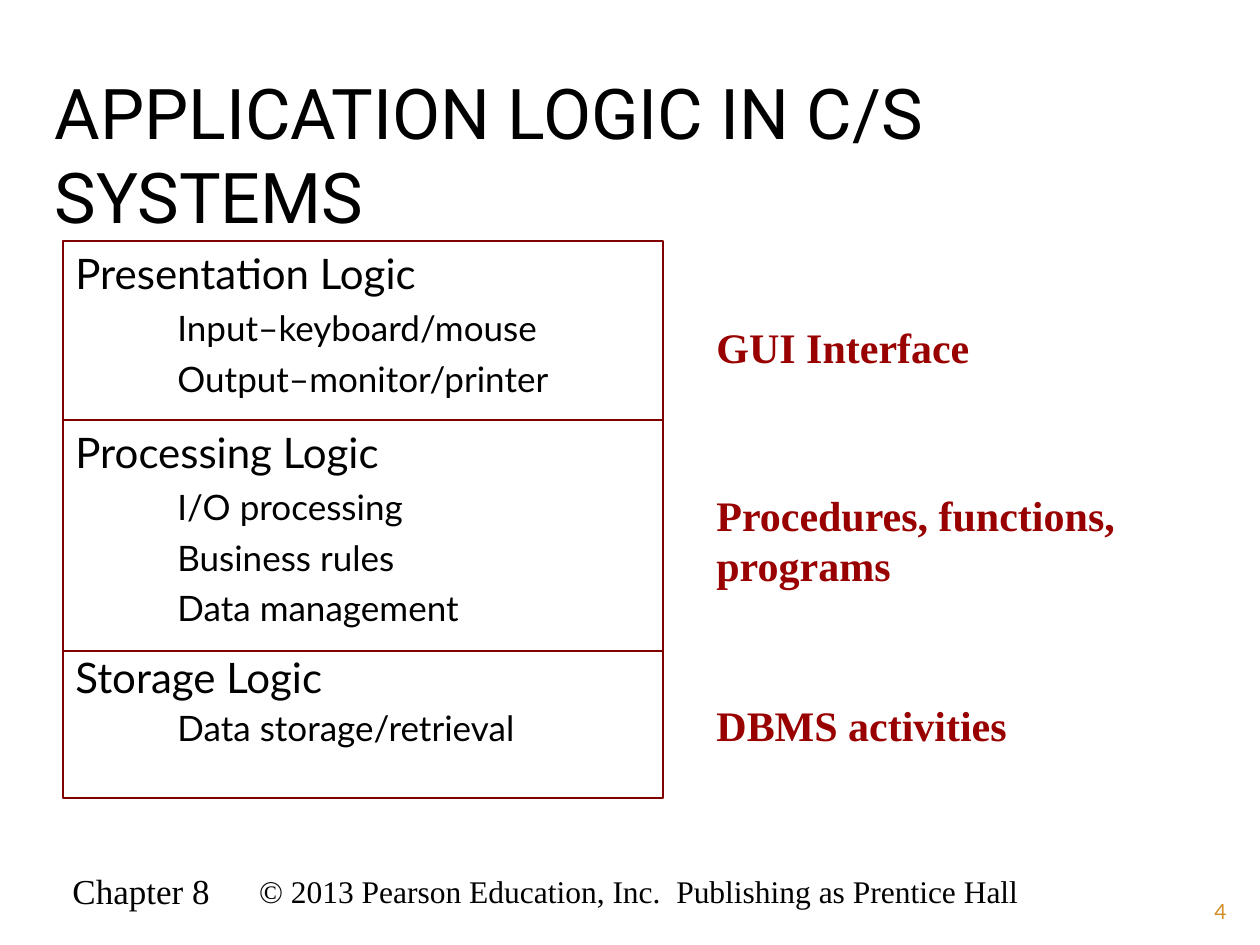
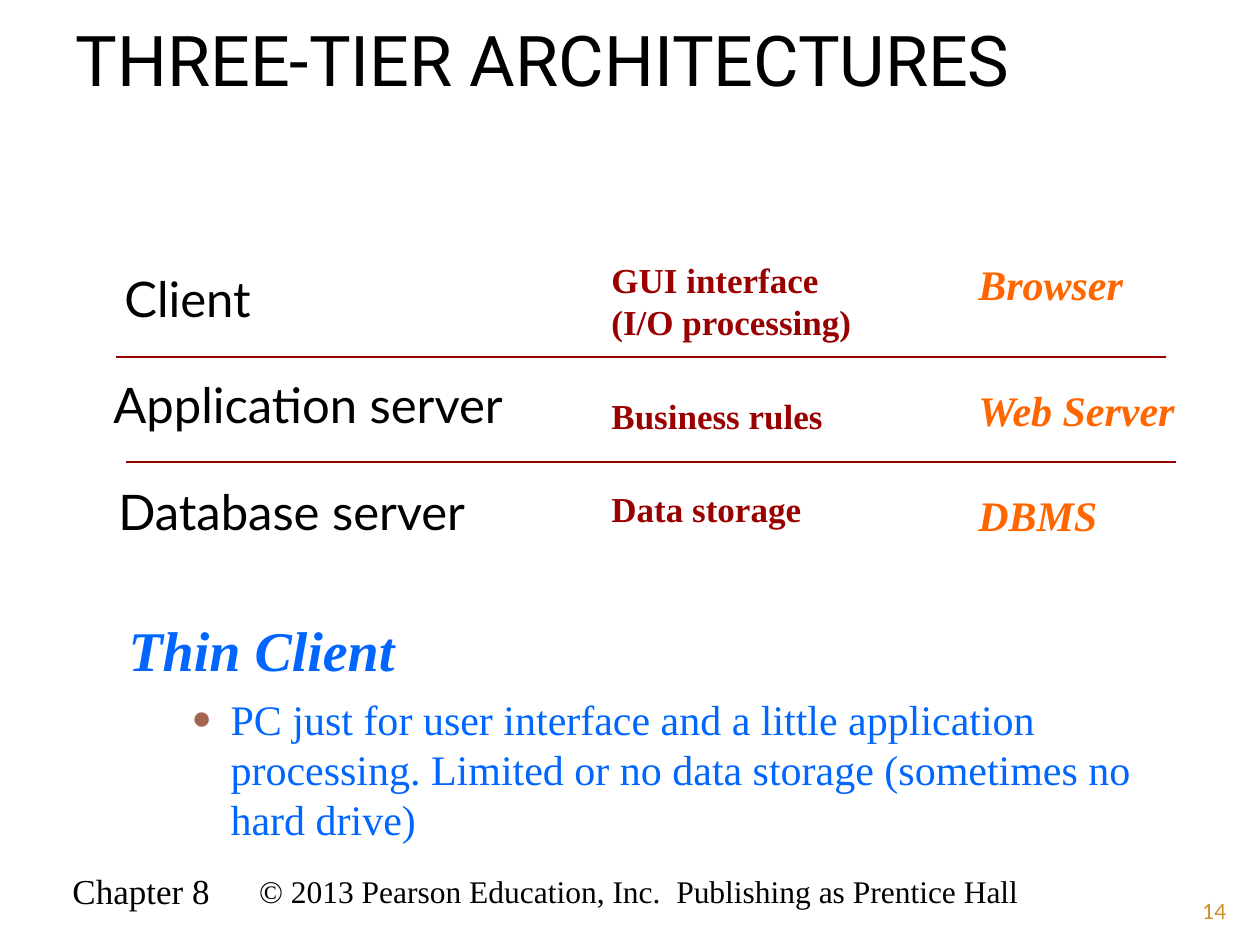
from lxml.etree import SubElement
from pptx import Presentation
from pptx.dml.color import RGBColor
from pptx.enum.shapes import MSO_CONNECTOR, MSO_SHAPE
from pptx.enum.text import MSO_ANCHOR as Anchor, MSO_AUTO_SIZE as AutoSize, PP_ALIGN as Align
from pptx.oxml.ns import qn
from pptx.util import Emu, Inches, Pt

PX_PER_INCH = 126
SLIDE_WIDTH, SLIDE_HEIGHT = 1260, 945
TITLE_ONLY, TITLE_AND_BODY = 5, 1

BLACK = RGBColor(0x00, 0x00, 0x00)
MAROON = RGBColor(0x80, 0x00, 0x00)
RED = RGBColor(0x99, 0x00, 0x00)
ORANGE = RGBColor(0xFF, 0x66, 0x00)
BLUE = RGBColor(0x00, 0x66, 0xFF)
GOLD = RGBColor(0xD3, 0x8E, 0x27)
BROWN = RGBColor(0xA5, 0x64, 0x4E)

SERIF, SANS, DISPLAY = "Times New Roman", "Lato", "Roboto"


def px(length):
    return Emu(round(length * Inches(1) / PX_PER_INCH))


def set_indent(para, margin, hanging=0, bullet=None):
    """Set the left margin and the hanging indent, with a bullet or none."""
    properties = para._p.get_or_add_pPr()
    properties.set("marL", str(px(margin)))
    properties.set("indent", str(-px(hanging)))
    if bullet is None:
        SubElement(properties, qn("a:buNone"))
        return
    color = SubElement(properties, qn("a:buClr"))
    SubElement(color, qn("a:srgbClr"), val=str(BROWN))
    SubElement(properties, qn("a:buSzPct"), val="80000")
    SubElement(properties, qn("a:buChar"), char=bullet)


def write(frame, text, size, font=SERIF, color=BLACK, bold=False, italic=False,
          align=Align.LEFT, before=0, spacing=1.0, margin=0, hanging=0, bullet=None):
    """Append one formatted paragraph to the frame."""
    first = frame.paragraphs[0]
    para = frame.add_paragraph() if first.runs else first
    set_indent(para, margin, hanging, bullet)
    para.alignment = align
    para.space_before = Pt(before)
    para.line_spacing = spacing
    span = para.add_run()
    span.text = text
    span.font.size = Pt(size)
    span.font.name = font
    span.font.bold = bold
    span.font.italic = italic
    span.font.color.rgb = color


def prepare_frame(shape, anchor=Anchor.TOP):
    frame = shape.text_frame
    frame.auto_size = AutoSize.NONE
    frame.word_wrap = True
    frame.vertical_anchor = anchor
    return frame


def fill_placeholder(shape, left, top, width, height):
    shape.left, shape.top = px(left), px(top)
    shape.width, shape.height = px(width), px(height)
    return prepare_frame(shape)


def add_label(page, lines, left, top, width, height, anchor=Anchor.TOP, **style):
    box = page.shapes.add_textbox(px(left), px(top), px(width), px(height))
    frame = prepare_frame(box, anchor)
    for line in lines:
        write(frame, line, **style)


def add_logic_box(page, heading, items, top, height, spacing=1.0):
    box = page.shapes.add_shape(MSO_SHAPE.RECTANGLE, px(63), px(top), px(600), px(height))
    box.shadow.inherit = False
    box.fill.background()
    box.line.color.rgb = MAROON
    box.line.width = Pt(0.75)
    frame = prepare_frame(box)
    write(frame, heading, 24, SANS, spacing=spacing)
    for item in items:
        write(frame, item, 20, SANS, before=5, spacing=spacing, margin=102)


def add_divider(page, left, top, width):
    line = page.shapes.add_connector(
        MSO_CONNECTOR.STRAIGHT, px(left), px(top), px(left + width), px(top))
    line.line.color.rgb = RED
    line.line.width = Pt(1)
    SubElement(line._element.spPr, qn("a:effectLst"))


def add_page(deck, layout, title, title_area, number):
    """Add a slide with its title, footers and page number."""
    page = deck.slides.add_slide(deck.slide_layouts[layout])
    write(fill_placeholder(page.shapes.title, *title_area), title, 40, DISPLAY)
    add_label(page, ["Chapter 8"], 60, 863, 170, 55, size=20)
    add_label(page, ["© 2013 Pearson Education, Inc.  Publishing as Prentice Hall"],
              199, 850, 880, 66, Anchor.BOTTOM, size=18, align=Align.CENTER)
    add_label(page, [str(number)], 1134, 892, 105, 34,
              size=12, font=SANS, color=GOLD, align=Align.RIGHT)
    return page


def add_application_logic(deck):
    page = add_page(deck, TITLE_ONLY, "APPLICATION LOGIC IN C/S SYSTEMS",
                    (42, 63, 1197, 116), 4)
    add_logic_box(page, "Presentation Logic",
                  ["Input–keyboard/mouse", "Output–monitor/printer"], 241, 179)
    add_logic_box(page, "Processing Logic",
                  ["I/O processing", "Business rules", "Data management"], 420, 231)
    add_logic_box(page, "Storage Logic", ["Data storage/retrieval"], 651, 147, spacing=0.9)
    roles = [
        (["GUI Interface"], 315, 63),
        (["Procedures, functions,", "programs"], 483, 114),
        (["DBMS activities"], 693, 63),
    ]
    for lines, top, height in roles:
        add_label(page, lines, 704, top, 460, height, size=24, color=RED, bold=True)


def add_three_tiers(deck):
    page = add_page(deck, TITLE_AND_BODY, "THREE-TIER ARCHITECTURES",
                    (63, 10, 1134, 189), 14)
    body = fill_placeholder(page.placeholders[1], 116, 609, 1071, 252)
    write(body, "Thin Client", 32, color=BLUE, bold=True, italic=True)
    write(body, "PC just for user interface and a little application processing. "
          "Limited or no data storage (sometimes no hard drive)",
          24, color=BLUE, before=6, margin=102, hanging=39, bullet="●")

    tiers = [("Client", 112, 262), ("Application server", 101, 368),
             ("Database server", 106, 475)]
    for tier, left, top in tiers:
        add_label(page, [tier], left, top, 450, 72, size=28, font=SANS)

    duties = [(["GUI interface", "(I/O processing)"], 252, 97),
              (["Business rules"], 388, 55), (["Data storage"], 481, 55)]
    for lines, top, height in duties:
        add_label(page, lines, 599, top, 336, height, size=20, color=RED, bold=True)

    for product, top in [("Browser", 252), ("Web Server", 378), ("DBMS", 483)]:
        add_label(page, [product], 966, top, 240, 63,
                  size=24, color=ORANGE, bold=True, italic=True)

    for left, top in [(116, 357), (126, 462)]:
        add_divider(page, left, top, 1050)


def main():
    deck = Presentation()
    deck.slide_width, deck.slide_height = px(SLIDE_WIDTH), px(SLIDE_HEIGHT)
    add_application_logic(deck)
    add_three_tiers(deck)
    deck.save("out.pptx")


if __name__ == "__main__":
    main()
